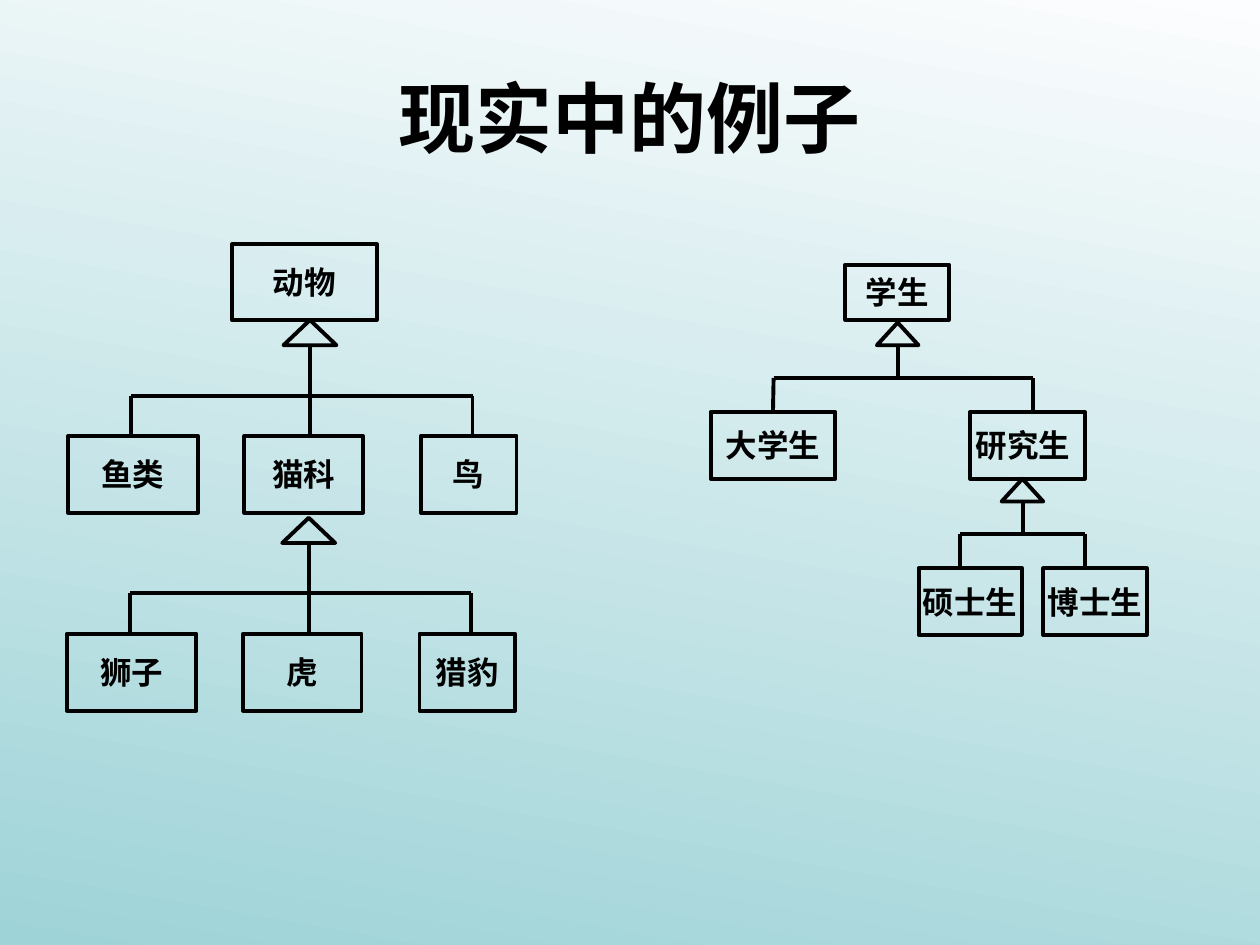
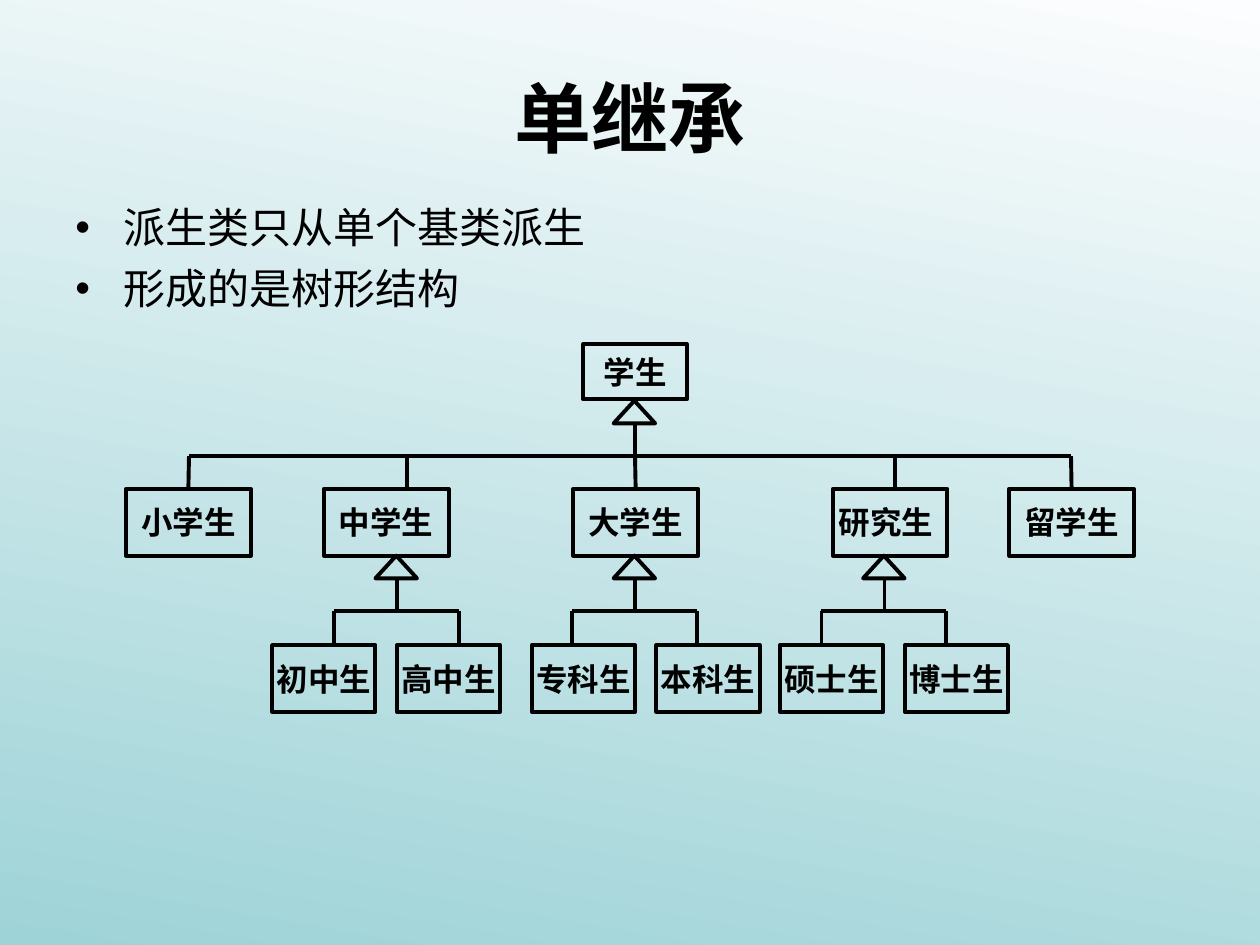
from dataclasses import dataclass

from lxml import etree
from pptx import Presentation
from pptx.dml.color import RGBColor
from pptx.enum.shapes import MSO_CONNECTOR, MSO_SHAPE
from pptx.enum.text import MSO_ANCHOR, PP_ALIGN
from pptx.oxml.ns import qn
from pptx.util import Pt

PX = 9144
RECTANGLE = MSO_SHAPE.RECTANGLE
TRIANGLE = MSO_SHAPE.ISOSCELES_TRIANGLE
STRAIGHT = MSO_CONNECTOR.STRAIGHT
MIDDLE, TOP = MSO_ANCHOR.MIDDLE, MSO_ANCHOR.TOP
CENTER, LEFT = PP_ALIGN.CENTER, PP_ALIGN.LEFT
TOP_SIDE = 0


@dataclass(frozen=True)
class Theme:
    ink: RGBColor = RGBColor(0, 0, 0)
    sky: RGBColor = RGBColor(0xFC, 0xFD, 0xFE)
    teal: RGBColor = RGBColor(0x9E, 0xD3, 0xD7)
    gradient_angle: int = 260
    title_font: str = "Noto Sans CJK SC"
    body_font: str = "Arial"
    title_size: int = 44
    body_size: int = 24
    class_size: int = 18
    stroke: float = 2.25


@dataclass(frozen=True)
class Arrow:
    width: int
    height: int
    to_bus: int


LARGE = Arrow(42, 20, 60)
SMALL = Arrow(33, 18, 44)


class Deck:
    def __init__(self, theme):
        self.theme = theme
        self.presentation = Presentation()
        self.presentation.slide_width = 1000 * PX
        self.presentation.slide_height = 750 * PX
        self.slide = None

    def new_slide(self, title):
        theme = self.theme
        self.slide = self.presentation.slides.add_slide(self.presentation.slide_layouts[6])
        fill = self.slide.background.fill
        fill.gradient()
        fill.gradient_angle = theme.gradient_angle
        for stop, color in zip(fill.gradient_stops, (theme.sky, theme.teal)):
            stop.color.rgb = color
        frame = self.text_frame(50, 30, 900, 125, MIDDLE)
        self.set_text(frame.paragraphs[0], title, theme.title_font, theme.title_size, True, CENTER)

    def text_frame(self, left, top, width, height, anchor):
        box = self.slide.shapes.add_textbox(left * PX, top * PX, width * PX, height * PX)
        frame = box.text_frame
        frame.word_wrap = True
        frame.vertical_anchor = anchor
        return frame

    def set_text(self, paragraph, text, font_name, size, bold, align):
        paragraph.text = text
        paragraph.alignment = align
        font = paragraph.font
        font.size = Pt(size)
        font.bold = bold
        font.color.rgb = self.theme.ink
        font.name = font_name
        defaults = paragraph._p.pPr.find(qn("a:defRPr"))
        etree.SubElement(defaults, qn("a:ea"), typeface=font_name)

    def bullets(self, left, top, width, height, points):
        theme = self.theme
        frame = self.text_frame(left, top, width, height, TOP)
        for index, point in enumerate(points):
            paragraph = frame.add_paragraph() if index else frame.paragraphs[0]
            if index:
                paragraph.space_before = Pt(6)
            properties = paragraph._p.get_or_add_pPr()
            properties.set("marL", str(38 * PX))
            properties.set("indent", str(-38 * PX))
            etree.SubElement(properties, qn("a:buFont"), typeface=theme.body_font)
            etree.SubElement(properties, qn("a:buChar"), char="•")
            self.set_text(paragraph, point, theme.body_font, theme.body_size, False, LEFT)

    def outline(self, preset, left, top, width, height):
        shape = self.slide.shapes.add_shape(preset, left * PX, top * PX, width * PX, height * PX)
        shape.shadow.inherit = False
        shape.fill.background()
        shape.line.color.rgb = self.theme.ink
        shape.line.width = Pt(self.theme.stroke)
        return shape

    def class_box(self, name, left, top, width, height):
        box = self.outline(RECTANGLE, left, top, width, height)
        frame = box.text_frame
        frame.word_wrap = False
        frame.vertical_anchor = MIDDLE
        self.set_text(frame.paragraphs[0], name, self.theme.body_font, self.theme.class_size, True, CENTER)
        return box

    def class_row(self, top, height, members):
        return [self.class_box(name, left, top, width, height) for name, left, width in members]

    def line(self, x1, y1, x2, y2):
        connector = self.slide.shapes.add_connector(STRAIGHT, x1 * PX, y1 * PX, x2 * PX, y2 * PX)
        connector.line.color.rgb = self.theme.ink
        connector.line.width = Pt(self.theme.stroke)
        etree.SubElement(connector._element.spPr, qn("a:effectLst"))
        return connector

    def inheritance(self, arrow, apex, top, children, drops):
        bus = top + arrow.to_bus
        self.outline(TRIANGLE, apex - (arrow.width + 1) // 2, top, arrow.width, arrow.height)
        self.line(apex, top + arrow.height, apex, bus)
        self.line(drops[0], bus, drops[-1], bus)
        for child, x in zip(children, drops):
            drop = self.line(x, bus, x, child.top // PX)
            if abs(child.left + child.width // 2 - x * PX) <= PX:
                drop.end_connect(child, TOP_SIDE)

    def leaf_pair(self, apex, top, left, names):
        members = [(name, left + 99 * index, 82) for index, name in enumerate(names)]
        leaves = self.class_row(top + 71, 53, members)
        self.inheritance(SMALL, apex, top, leaves, (apex - 50, apex + 49))


def examples_slide(deck):
    deck.new_slide("现实中的例子")

    deck.class_box("动物", 184, 194, 115, 60)
    generations = (
        (0, 346, 254, ("鱼类", "猫科", "鸟")),
        (-1, 503, 411, ("狮子", "虎", "猎豹")),
    )
    for shift, row_top, arrow_top, names in generations:
        columns = zip(names, (54, 194, 334), (103, 94, 76))
        row = deck.class_row(row_top, 61, [(name, left + shift, width) for name, left, width in columns])
        drops = [x + shift for x in (104, 246, 375)]
        deck.inheritance(LARGE, 246 + shift, arrow_top, row, drops)

    deck.class_box("学生", 671, 210, 82, 44)
    students = deck.class_row(327, 53, (("大学生", 564, 99), ("研究生 ", 770, 91)))
    deck.inheritance(SMALL, 713, 256, students, (614, 820))
    deck.leaf_pair(812, 380, 729, ("硕士生", "博士生"))


def single_inheritance_slide(deck):
    deck.new_slide("单继承")
    deck.bullets(50, 155, 900, 495, ("派生类只从单个基类派生", "形成的是树形结构"))

    deck.class_box("学生", 463, 273, 82, 44)
    stages = deck.class_row(388, 53, (
        ("小学生", 100, 99),
        ("中学生", 257, 99),
        ("大学生", 455, 99),
        ("研究生 ", 661, 91),
        ("留学生", 801, 99),
    ))
    deck.inheritance(SMALL, 504, 318, stages, (150, 323, 504, 710, 850))
    for apex, left, names in (
        (315, 216, ("初中生", "高中生")),
        (504, 422, ("专科生", "本科生")),
        (702, 619, ("硕士生", "博士生")),
    ):
        deck.leaf_pair(apex, 441, left, names)


def main():
    deck = Deck(Theme())
    examples_slide(deck)
    single_inheritance_slide(deck)
    deck.presentation.save("out.pptx")


if __name__ == "__main__":
    main()
